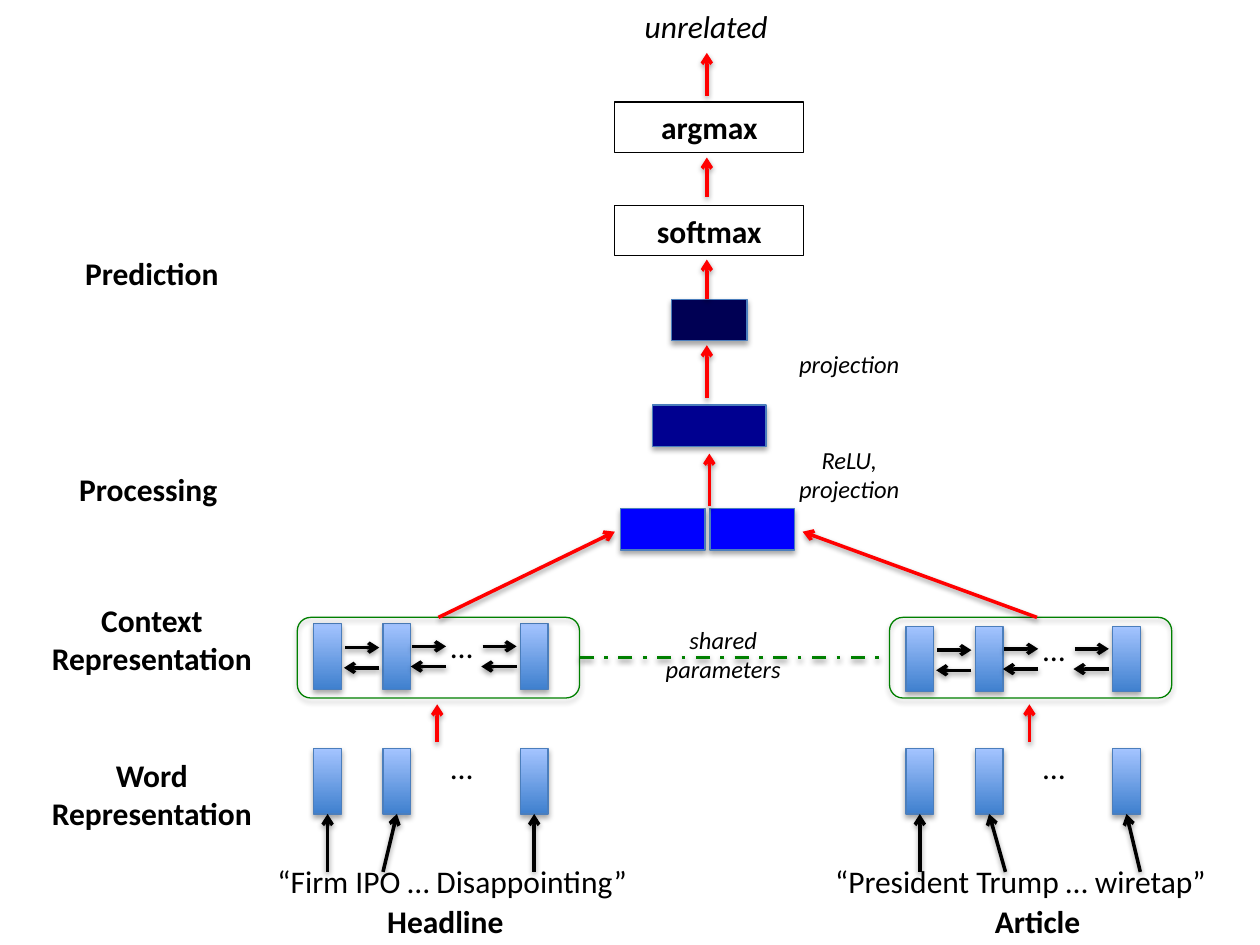
import pptx
import pptx.util
import pptx.dml.color
import pptx.enum.dml
import pptx.enum.shapes
import pptx.enum.text
import pptx.oxml
import pptx.oxml.ns
from pptx.util import Inches

COLORS = {
    "black": "000000", "red": "FF0000", "green": "008000", "edge": "4B7EBC",
    "cell_low": "3F80CE", "cell_high": "A4C4FF",
    "blue": "0000FF", "navy": "000090", "midnight": "000054",
}
RECT = pptx.enum.shapes.MSO_SHAPE.RECTANGLE
ROUNDED = pptx.enum.shapes.MSO_SHAPE.ROUNDED_RECTANGLE
CELL_W, CELL_H = 0.22, 0.52
CELL_OFFSETS = (0, 0.55, 1.64)


def rgb(name):
    return pptx.dml.color.RGBColor.from_string(COLORS[name])


class Diagram:
    """Style and current slide; shapes and lines keep the theme's soft shadow."""
    font = "Calibri"

    def __init__(self, slide):
        self.s = slide

    def text(self, x, y, w, h, *lines, size=18, bold=False, italic=False,
             align="CENTER", anchor="TOP", boxed=False):
        sp = self.s.shapes.add_textbox(Inches(x), Inches(y), Inches(w), Inches(h))
        tf = sp.text_frame
        tf.word_wrap = True
        tf.vertical_anchor = getattr(pptx.enum.text.MSO_ANCHOR, anchor)
        tf.text = "\n".join(lines)
        for p in tf.paragraphs:
            p.alignment = getattr(pptx.enum.text.PP_ALIGN, align)
            p.font.name = self.font
            p.font.size = pptx.util.Pt(size)
            p.font.bold = bold
            p.font.italic = italic
            p.font.color.rgb = rgb("black")
        if boxed:
            sp.line.color.rgb = rgb("black")
            sp.line.width = pptx.util.Pt(0.75)

    def shape(self, kind, x, y, w, h, line):
        sp = self.s.shapes.add_shape(kind, Inches(x), Inches(y), Inches(w), Inches(h))
        sp.line.color.rgb = rgb(line)
        sp.line.width = pptx.util.Pt(0.75)
        return sp

    def cell(self, x, y):
        """One vector, shaded from dark at the bottom to light at the top."""
        fill = self.shape(RECT, x, y, CELL_W, CELL_H, "edge").fill
        fill.gradient()
        fill.gradient_angle = 90
        for stop, name in zip(fill.gradient_stops, ("cell_low", "cell_high")):
            stop.color.rgb = rgb(name)

    def layer(self, cx, cy, w, color):
        """A solid network layer, centred on cx, cy."""
        h = 0.33
        sp = self.shape(RECT, cx - w / 2, cy - h / 2, w, h, "edge")
        sp.fill.solid()
        sp.fill.fore_color.rgb = rgb(color)

    def frame(self, x, y, w, h):
        self.shape(ROUNDED, x, y, w, h, "green").fill.background()

    def line(self, x1, y1, x2, y2, color):
        c = self.s.shapes.add_connector(
            pptx.enum.shapes.MSO_CONNECTOR.STRAIGHT,
            Inches(x1), Inches(y1), Inches(x2), Inches(y2))
        c.line.color.rgb = rgb(color)
        c.line.width = pptx.util.Pt(2)
        return c

    def arrow(self, x1, y1, x2, y2, color="red"):
        ln = self.line(x1, y1, x2, y2, color).line._get_or_add_ln()
        ln.append(pptx.oxml.parse_xml(
            f'<a:tailEnd {pptx.oxml.ns.nsdecls("a")} type="arrow"/>'))

    def cell_row(self, x, y, dots_y):
        for dx in CELL_OFFSETS:
            self.cell(x + dx, y)
        self.text(x + 0.99, dots_y, 0.65, 0.4, "…", align="LEFT", anchor="MIDDLE")

    def encoder(self, x, context_y, words, label, words_x, words_w, starts):
        """Words, word vectors and bidirectional context vectors of one input."""
        word_y = 5.94
        self.cell_row(x, word_y, word_y - 0.05)
        self.text(words_x, 6.79, words_w, 0.4, words)
        self.text(x + 0.34, 7.11, 1.41, 0.4, label, bold=True)
        for start, dx in zip(starts, CELL_OFFSETS):
            self.arrow(start, 6.92, x + dx + CELL_W / 2, word_y + CELL_H, "black")
        self.arrow(x + 0.98, 5.89, x + 0.98, 5.59)

        self.cell_row(x, context_y, context_y - 0.02)
        for left, dy in ((0.25, 0.19), (0.78, 0.18), (1.34, 0.18)):
            y = context_y + dy
            self.arrow(x + left, y, x + left + 0.27, y, "black")
            self.arrow(x + left + 0.27, y + 0.16, x + left - 0.01, y + 0.16, "black")
        self.frame(x - 0.13, 4.9, 2.24, 0.64)


def main():
    prs = pptx.Presentation()
    prs.slide_width, prs.slide_height = Inches(10), Inches(7.5)
    d = Diagram(prs.slides.add_slide(prs.slide_layouts[6]))

    d.encoder(2.49, 4.95, "“Firm IPO … Disappointing”", "Headline",
              2.05, 3.08, (2.6, 3.04, 4.24))
    d.encoder(7.19, 4.97, "“President Trump … wiretap”", "Article",
              6.37, 3.46, (7.3, 7.98, 9.05))
    shared = d.line(4.6, 5.22, 7.05, 5.22, "green")
    shared.line.dash_style = pptx.enum.dml.MSO_LINE.DASH_DOT
    d.arrow(3.48, 4.9, 4.88, 4.22)
    d.arrow(8.23, 4.9, 6.37, 4.22)

    for cx, cy, w, color in ((5.26, 4.2, 0.67, "blue"), (5.97, 4.2, 0.67, "blue"),
                             (5.63, 3.38, 0.9, "navy"), (5.63, 2.54, 0.6, "midnight")):
        d.layer(cx, cy, w, color)
    for y, word in ((1.63, "softmax"), (0.81, "argmax")):
        d.text(4.88, y, 1.5, 0.4, word, bold=True, boxed=True)
    for x, start, end in ((5.63, 4.02, 3.6), (5.61, 3.16, 2.74), (5.61, 2.37, 2.06),
                          (5.61, 1.56, 1.25), (5.61, 0.76, 0.42)):
        d.arrow(x, start, x, end)

    for x, y, h, note in ((5.07, 4.91, 0.57, "shared parameters"),
                          (6.07, 3.48, 0.57, "ReLU, projection"),
                          (6.07, 2.72, 0.34, "projection")):
        d.text(x, y, 1.34, h, note, size=14, italic=True)
    d.text(4.96, 0.01, 1.29, 0.4, "unrelated", italic=True)

    for y, h, stage in ((5.95, 0.71, ("Word", "Representation")),
                        (4.72, 0.71, ("Context", "Representation")),
                        (3.68, 0.4, ("Processing ",)),
                        (1.97, 0.4, ("Prediction",))):
        d.text(0, y, 2.41, h, *stage, bold=True)

    prs.save("out.pptx")


if __name__ == "__main__":
    main()
